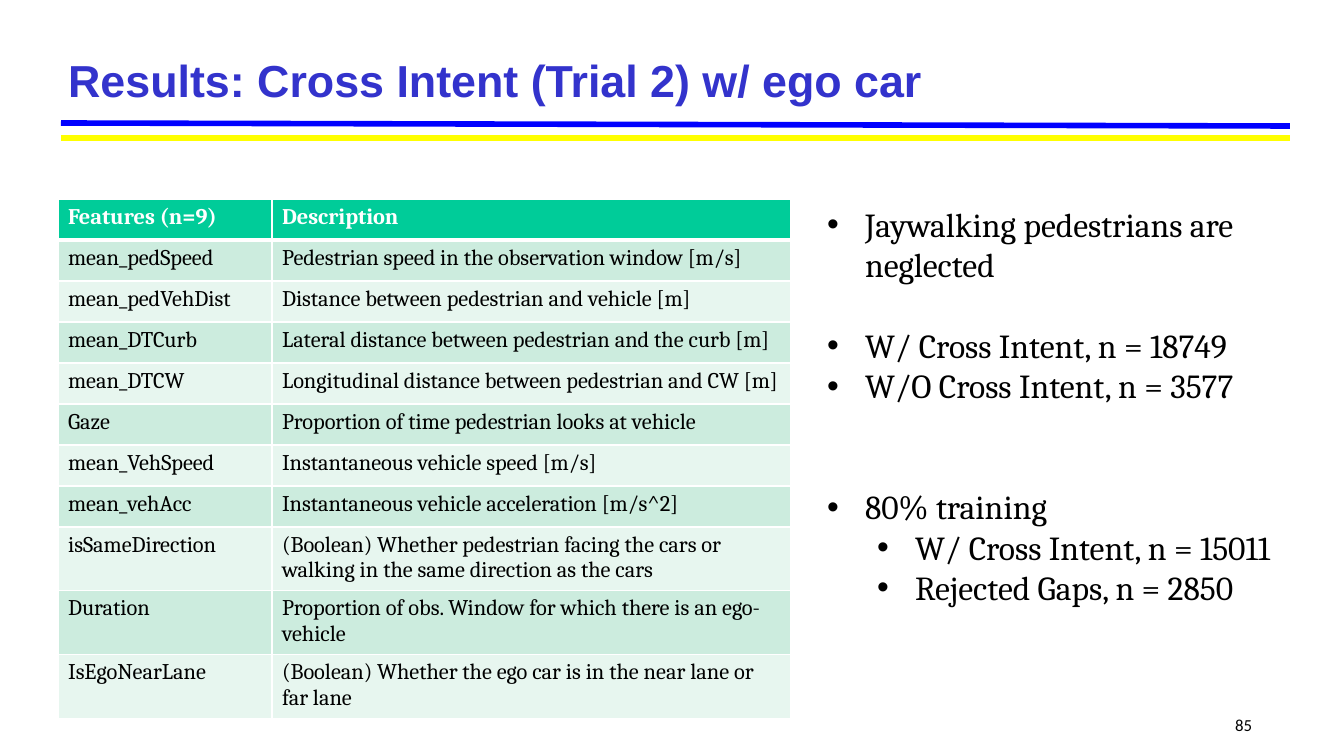
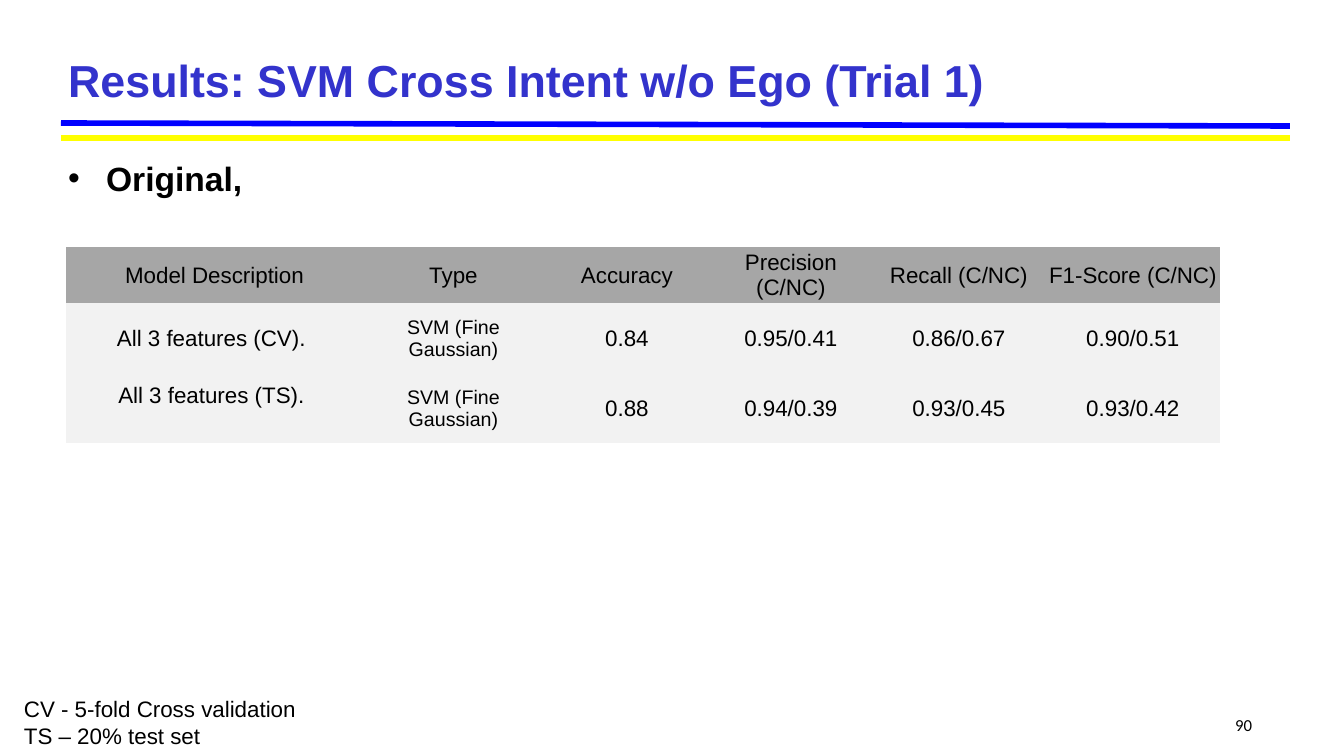
"""Build two result slides on pedestrian crossing intent."""
from dataclasses import dataclass
from typing import Optional

from lxml.etree import SubElement
from pptx import Presentation
from pptx.dml.color import RGBColor
from pptx.enum.shapes import MSO_CONNECTOR as Connector
from pptx.enum.text import MSO_ANCHOR as Anchor, MSO_AUTO_SIZE as AutoSize, PP_ALIGN as Align
from pptx.oxml.ns import qn
from pptx.util import Emu, Pt

PAGE_WIDTH, PAGE_HEIGHT = 1344, 756
EMU_PER_PX = 12192000 / PAGE_WIDTH
PLAIN_TABLE = "{2D5ABB26-0587-4C30-8999-92F81FD0307C}"

BLACK = RGBColor(0x00, 0x00, 0x00)
WHITE = RGBColor(0xFF, 0xFF, 0xFF)
TITLE_BLUE = RGBColor(0x33, 0x33, 0xCC)
RULE_BLUE = RGBColor(0x00, 0x00, 0xFF)
RULE_YELLOW = RGBColor(0xFF, 0xFF, 0x00)
GREEN = RGBColor(0x00, 0xCC, 0x99)
GREEN_BANDS = (RGBColor(0xCC, 0xEC, 0xDE), RGBColor(0xE7, 0xF6, 0xEF))
HEADER_GREY = RGBColor(0xA6, 0xA6, 0xA6)
ROW_GREY = RGBColor(0xF2, 0xF2, 0xF2)


@dataclass(frozen=True)
class Area:
    left: int
    top: int
    width: int
    height: int


@dataclass(frozen=True)
class Rule:
    start_y: int
    end_y: int
    color: RGBColor


@dataclass(frozen=True)
class Bullet:
    text: str
    level: int = 0
    before: float = 0


RULES = (Rule(123, 126, RULE_BLUE), Rule(138, 138, RULE_YELLOW))
TITLE_AREA = Area(58, 50, 1232, 59)
NUMBER_AREA = Area(1220, 710, 42, 26)
BULLET_INDENT, LEVEL_STEP = 38, 50

FEATURES = (
    ("Features (n=9)", "Description"),
    ("mean_pedSpeed", "Pedestrian speed in the observation window [m/s]"),
    ("mean_pedVehDist", "Distance between pedestrian and vehicle [m]"),
    ("mean_DTCurb", "Lateral distance between pedestrian and the curb [m]"),
    ("mean_DTCW", "Longitudinal distance between pedestrian and CW [m]"),
    ("Gaze", "Proportion of time pedestrian looks at vehicle"),
    ("mean_VehSpeed", "Instantaneous vehicle speed [m/s]"),
    ("mean_vehAcc", "Instantaneous vehicle acceleration [m/s^2]"),
    ("isSameDirection",
     "(Boolean) Whether pedestrian facing the cars or walking in the same direction as the cars"),
    ("Duration", "Proportion of obs. Window for which there is an ego-vehicle"),
    ("IsEgoNearLane", "(Boolean) Whether the ego car is in the near lane or far lane"),
)
SAMPLE_NOTES = (
    Bullet("Jaywalking pedestrians are neglected"),
    Bullet("W/ Cross Intent, n = 18749", before=28.8),
    Bullet("W/O Cross Intent, n = 3577"),
    Bullet("80% training", before=57.6),
    Bullet("W/ Cross Intent, n = 15011", level=1),
    Bullet("Rejected Gaps, n = 2850", level=1),
)
SCORES = (
    ("Model Description", "Type", "Accuracy", "Precision (C/NC)", "Recall (C/NC)",
     "F1-Score (C/NC)"),
    ("All 3 features (CV). ", "SVM (Fine Gaussian)", "0.84", "0.95/0.41", "0.86/0.67",
     "0.90/0.51"),
    ("All 3 features (TS). ", "SVM (Fine Gaussian)", "0.88", "0.94/0.39", "0.93/0.45",
     "0.93/0.42"),
)


def px(length: int) -> Emu:
    """Turn pixels into EMU."""
    return Emu(round(length * EMU_PER_PX))


def place(box, area: Area) -> None:
    """Move and size a shape."""
    box.left, box.top = px(area.left), px(area.top)
    box.width, box.height = px(area.width), px(area.height)


def write(para, text: str, *, size: float, font: str = "Arial", color: RGBColor = BLACK,
          bold: bool = False, align: Align = Align.LEFT, before: float = 0,
          bullet_level: Optional[int] = None) -> None:
    """Fill a paragraph with one formatted run."""
    para.alignment = align
    para.space_before = Pt(before)
    if bullet_level is not None:
        para.level = bullet_level
        properties = para._p.get_or_add_pPr()
        properties.set("marL", str(px(BULLET_INDENT + bullet_level * LEVEL_STEP)))
        properties.set("indent", str(-px(BULLET_INDENT)))
        SubElement(properties, qn("a:buFont"), typeface="Arial")
        SubElement(properties, qn("a:buChar"), char="•")
    span = para.add_run()
    span.text = text
    span.font.name, span.font.size = font, Pt(size)
    span.font.bold, span.font.color.rgb = bold, color


def add_text(page, area: Area, lines: tuple[str, ...], **style) -> None:
    """Add a text box with one paragraph per line."""
    frame = page.shapes.add_textbox(
        px(area.left), px(area.top), px(area.width), px(area.height)).text_frame
    frame.word_wrap = True
    for index, line in enumerate(lines):
        write(frame.add_paragraph() if index else frame.paragraphs[0], line, **style)


def add_rule(page, rule: Rule) -> None:
    """Draw one coloured rule under the title."""
    line = page.shapes.add_connector(
        Connector.STRAIGHT, px(61), px(rule.start_y), px(1290), px(rule.end_y))
    line.line.color.rgb, line.line.width = rule.color, Pt(4)
    SubElement(line._element.spPr, qn("a:effectLst"))


def add_page(deck, title: str, number: int):
    """Add a slide with its title, rules and page number."""
    page = deck.slides.add_slide(deck.slide_layouts[1])
    for rule in RULES:
        add_rule(page, rule)
    box = page.shapes.title
    place(box, TITLE_AREA)
    frame = box.text_frame
    frame.vertical_anchor, frame.auto_size = Anchor.MIDDLE, AutoSize.NONE
    write(frame.paragraphs[0], title, size=32, color=TITLE_BLUE, bold=True)
    add_text(page, NUMBER_AREA, (str(number),), size=12, font="Calibri", align=Align.RIGHT)
    return page


def fill_body(page, area: Area, bullets: tuple[Bullet, ...], **style):
    """Write the bullet list in the body placeholder."""
    box = page.placeholders[1]
    place(box, area)
    frame = box.text_frame
    frame.auto_size = AutoSize.NONE
    for index, bullet in enumerate(bullets):
        write(frame.add_paragraph() if index else frame.paragraphs[0], bullet.text,
              before=bullet.before, bullet_level=bullet.level, **style)
    return frame


def add_grid(page, left: int, top: int, columns: tuple[int, ...], rows: tuple[int, ...]):
    """Add an unstyled table with the given column widths and row heights."""
    frame = page.shapes.add_table(
        len(rows), len(columns), px(left), px(top), px(sum(columns)), px(sum(rows)))
    table = frame.table
    table._tbl.tblPr.find(qn("a:tableStyleId")).text = PLAIN_TABLE
    table.horz_banding = False
    for column, width in zip(table.columns, columns):
        column.width = px(width)
    for row, height in zip(table.rows, rows):
        row.height = px(height)
    return table


def paint(cell, color: RGBColor) -> None:
    """Fill a cell with one colour."""
    cell.fill.solid()
    cell.fill.fore_color.rgb = color


def add_borders(cell, top: int, bottom: int) -> None:
    """Give a cell white borders, one point wide at the sides."""
    properties = cell._tc.get_or_add_tcPr()
    for edge, width in (("lnL", 1), ("lnR", 1), ("lnT", top), ("lnB", bottom)):
        line = SubElement(properties, qn(f"a:{edge}"), w=str(Pt(width)))
        SubElement(SubElement(line, qn("a:solidFill")), qn("a:srgbClr"), val=str(WHITE))


def add_features(page) -> None:
    """Draw the banded table of features."""
    table = add_grid(page, 58, 199, (214, 519), (41,) * len(FEATURES))
    for row, texts in enumerate(FEATURES):
        header = row == 0
        for column, text in enumerate(texts):
            cell = table.cell(row, column)
            add_borders(cell, top=3 if row == 1 else 1, bottom=3 if header else 1)
            paint(cell, GREEN if header else GREEN_BANDS[(row - 1) % 2])
            write(cell.text_frame.paragraphs[0], text, size=16, font="Cambria",
                  color=WHITE if header else BLACK, bold=header)


def add_scores(page) -> None:
    """Draw the grey table of model scores."""
    table = add_grid(page, 66, 247, (297, 181, 166, 162, 174, 174), (56, 70, 70))
    for row, texts in enumerate(SCORES):
        for column, text in enumerate(texts):
            cell = table.cell(row, column)
            cell.vertical_anchor = Anchor.MIDDLE
            cell.margin_left = cell.margin_right = cell.margin_top = px(1)
            cell.margin_bottom = px(0)
            paint(cell, ROW_GREY if row else HEADER_GREY)
            write(cell.text_frame.paragraphs[0], text, align=Align.CENTER,
                  size=14 if row and column == 1 else 16)
    table.cell(2, 0).margin_bottom = px(25)


def main() -> None:
    """Build and save the deck."""
    deck = Presentation()
    deck.slide_width, deck.slide_height = px(PAGE_WIDTH), px(PAGE_HEIGHT)

    page = add_page(deck, "Results: Cross Intent (Trial 2) w/ ego car", 85)
    add_features(page)
    fill_body(page, Area(817, 199, 495, 417), SAMPLE_NOTES, size=24, font="Cambria")

    page = add_page(deck, "Results: SVM Cross Intent w/o Ego (Trial 1)", 90)
    frame = fill_body(page, Area(58, 149, 1237, 59), (Bullet("Original,"),), size=24, bold=True)
    frame.margin_top = px(9)
    add_scores(page)
    add_text(page, Area(14, 690, 672, 65),
             ("CV - 5-fold Cross validation", "TS – 20% test set"), size=16)

    deck.save("out.pptx")


if __name__ == "__main__":
    main()
